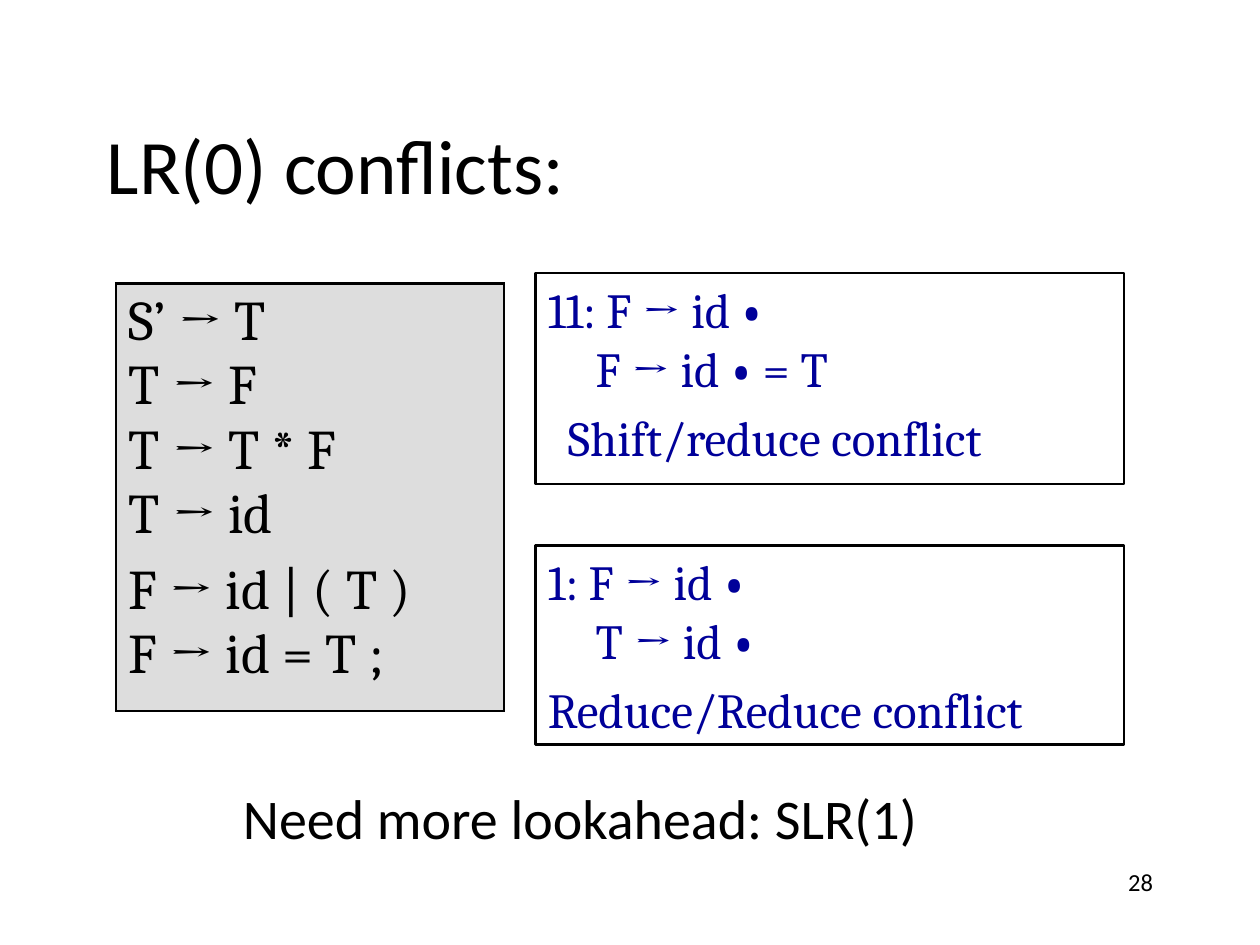
from pptx import Presentation
from pptx.dml.color import RGBColor
from pptx.enum.shapes import MSO_SHAPE as Shape
from pptx.enum.text import MSO_ANCHOR as Anchor, PP_ALIGN as Align
from pptx.oxml import parse_xml
from pptx.oxml.ns import nsdecls
from pptx.util import Inches, Pt


def color(code):
    return RGBColor.from_string(code)


def style(run, size, face, code, bold=False):
    font = run.font
    font.size = Pt(size)
    font.name = face
    font.bold = bold
    font.color.rgb = color(code)


def indent(para, left, first):
    props = para._p.get_or_add_pPr()
    props.set("marL", str(Inches(left)))
    props.set("indent", str(Inches(first)))


def label(slide, box, text, size, align=Align.LEFT, anchor=Anchor.TOP):
    frame = slide.shapes.add_textbox(*map(Inches, box)).text_frame
    frame.word_wrap = True
    frame.vertical_anchor = anchor
    frame.text = text
    para = frame.paragraphs[0]
    para.alignment = align
    style(para.runs[0], size, "Calibri", "000000")


def border(cell, width):
    props = cell._tc.get_or_add_tcPr()
    for index, side in enumerate(("lnL", "lnR", "lnT", "lnB")):
        props.insert(index, parse_xml(
            f'<a:{side} {nsdecls("a")} w="{Pt(width)}"><a:solidFill>'
            f'<a:srgbClr val="000000"/></a:solidFill></a:{side}>'))


def grammar(slide, box, groups):
    table = slide.shapes.add_table(1, 1, *map(Inches, box)).table
    table.first_row = table.horz_banding = False
    cell = table.cell(0, 0)
    cell.fill.solid()
    cell.fill.fore_color.rgb = color("DDDDDD")
    border(cell, 1.5)
    frame = cell.text_frame
    frame.text = "\n".join("\v".join(rules) for rules in groups)
    for index, para in enumerate(frame.paragraphs):
        if index:
            para.space_before = Pt(6.4)
        for run in para.runs:
            style(run, 32, "Cambria", "000000")


def conflict(slide, box, items, verdict, left=0):
    rect = slide.shapes.add_shape(Shape.RECTANGLE, *map(Inches, box))
    rect.shadow.inherit = False
    rect.fill.background()
    rect.line.color.rgb = color("000000")
    rect.line.width = Pt(1.25)
    frame = rect.text_frame
    frame.word_wrap = True
    frame.vertical_anchor = Anchor.TOP
    para = frame.paragraphs[0]
    indent(para, 0.38, -0.38)
    for index, item in enumerate(items):
        if index:
            para.add_line_break()
        for part in item.partition("•"):
            if part:
                run = para.add_run()
                run.text = part
                style(run, 28, "Cambria", "000099", part == "•")
    last = frame.add_paragraph()
    last.text = verdict
    last.space_before = Pt(5.6)
    indent(last, left, 0)
    style(last.runs[0], 28, "Cambria", "000099")
    for para in frame.paragraphs:
        para.alignment = Align.LEFT


def main():
    deck = Presentation()
    deck.slide_width, deck.slide_height = Inches(10), Inches(7.5)
    slide = deck.slides.add_slide(deck.slide_layouts[6])
    label(slide, (7.17, 6.83, 2.08, 0.5), "28", 14, Align.RIGHT)
    label(slide, (0.75, 0.67, 8.5, 1.25), "LR(0) conflicts:", 44,
          anchor=Anchor.MIDDLE)
    label(slide, (1.83, 6.17, 6.25, 0.83), "Need more lookahead: SLR(1)", 32)
    grammar(slide, (0.92, 2.25, 3.08, 3.26), (
        ("S’ → T", "T → F", "T → T * F", "T → id"),
        ("F → id | ( T )", "F → id = T ;")))
    conflict(slide, (4.25, 2.17, 4.67, 1.67),
             ("11: F → id •", "F → id • = T"), "Shift/reduce conflict", 0.16)
    conflict(slide, (4.25, 4.33, 4.67, 1.58),
             ("1: F → id •", "T → id •"), "Reduce/Reduce conflict")
    deck.save("out.pptx")


if __name__ == "__main__":
    main()
